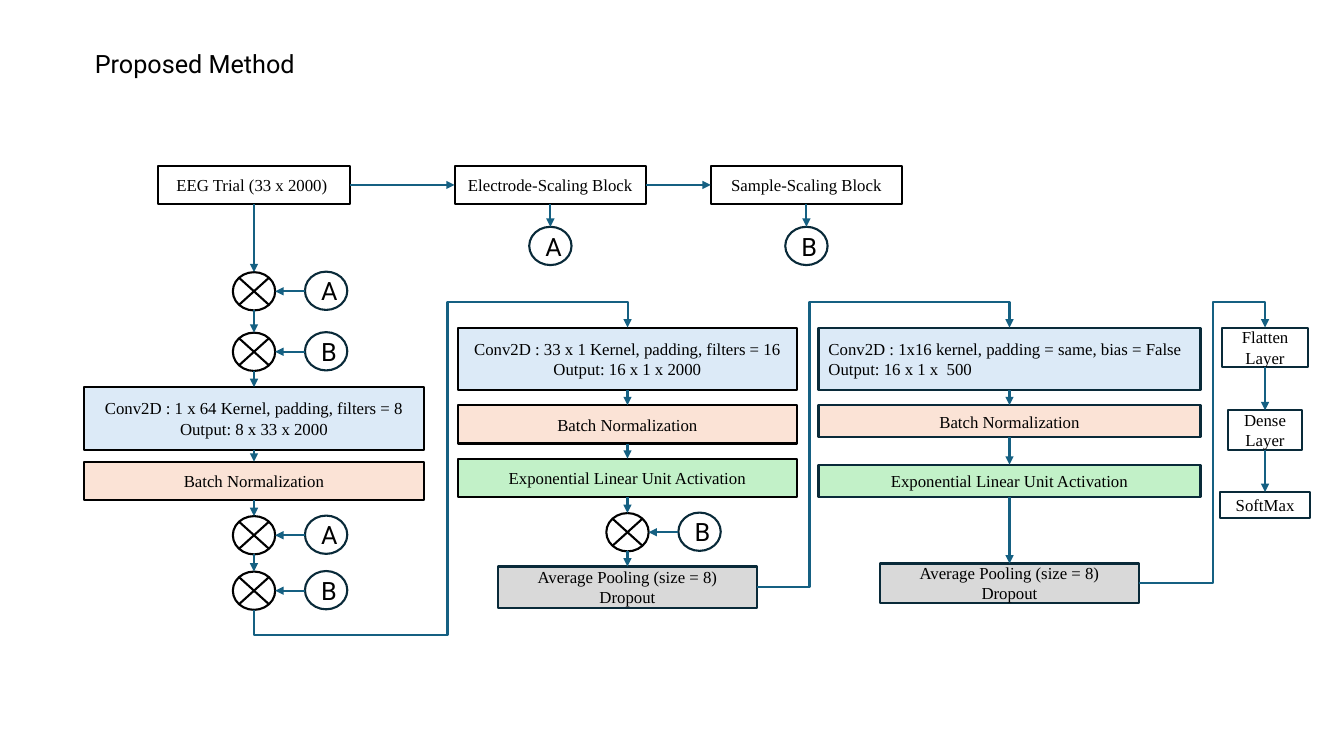
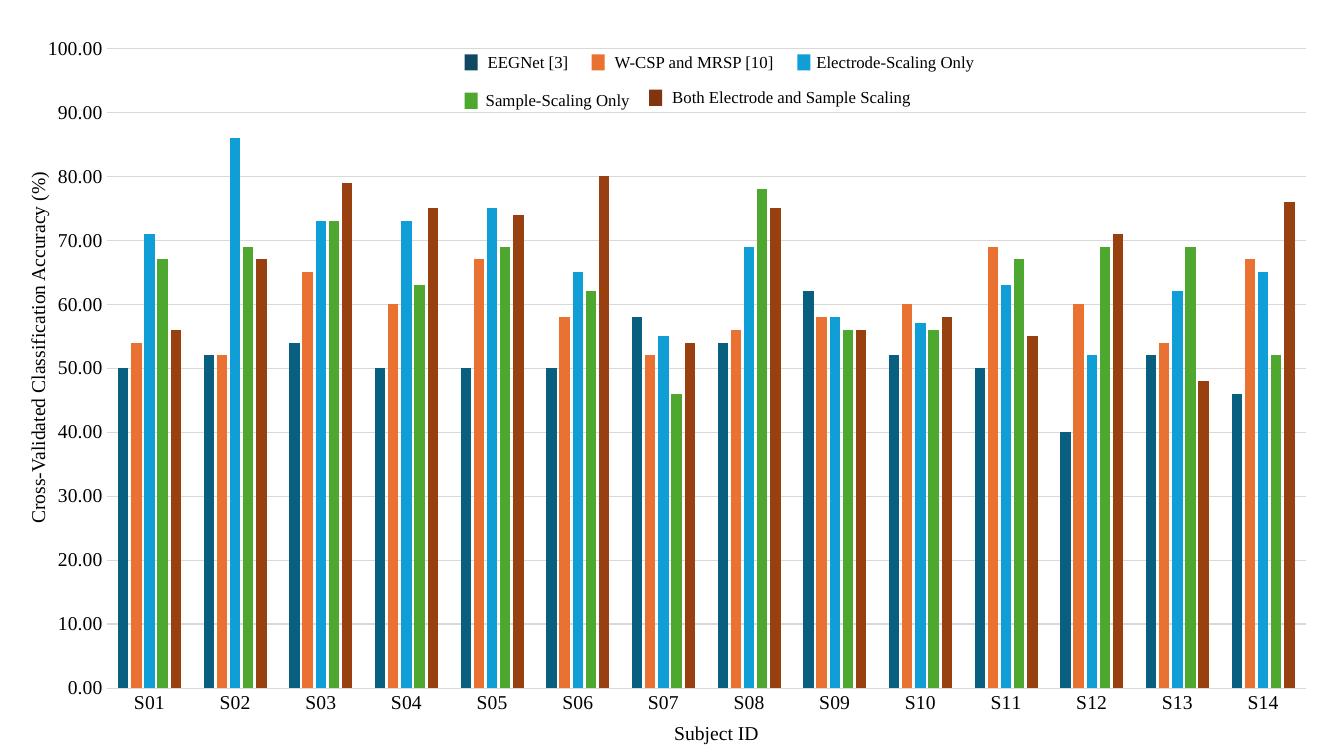
import lxml.etree
import pptx
import pptx.chart.data
import pptx.dml.color
import pptx.enum.chart
import pptx.enum.shapes
import pptx.enum.text
import pptx.oxml
import pptx.oxml.ns
import pptx.util

COLORS = {
    "ink": "000000", "white": "FFFFFF", "outline": "092A39", "arrow": "156082",
    "conv": "DCEAF7", "norm": "FBE3D6", "activation": "C2F1C8", "pool": "D9D9D9",
    "grid": "D9D9D9", "navy": "095F80", "orange": "E97132", "sky": "0F9ED5",
    "green": "4EA72E", "rust": "994010", "navy key": "104862", "rust key": "80350E",
}
SERIF, SANS = "Times New Roman", "Roboto"
CELL = 0.1  # grid cell in inches: the slide is 133.33 columns by 75 rows
COLUMNS, ROWS = 133.33, 75
ROUND_WIDTH, ROUND_HEIGHT = 4.2, 3.8
ROOF, FLOOR = 30, 63  # rows where the long connectors run sideways
SHAPE = pptx.enum.shapes.MSO_SHAPE
ALIGN = pptx.enum.text.PP_ALIGN
NORM, ACTIVATION = "Batch Normalization", "Exponential Linear Unit Activation"
POOLING = "Average Pooling (size = 8)\nDropout"

SUBJECTS = [f"S{number:02}" for number in range(1, 15)]
ACCURACY = {
    "navy": (50, 52, 54, 50, 50, 50, 58, 54, 62, 52, 50, 40, 52, 46),
    "orange": (54, 52, 65, 60, 67, 58, 52, 56, 58, 60, 69, 60, 54, 67),
    "sky": (71, 86, 73, 73, 75, 65, 55, 69, 58, 57, 63, 52, 62, 65),
    "green": (67, 69, 73, 63, 69, 62, 46, 78, 56, 56, 67, 69, 69, 52),
    "rust": (56, 67, 79, 75, 74, 80, 54, 75, 56, 58, 55, 71, 48, 76),
}
# text, swatch colour, swatch left, swatch top, label offset, label width
LEGEND = [
    ("EEGNet [3]", "navy key", 46.1, 5.4, 1.3, 11.2),
    ("W-CSP and MRSP [10]", "orange", 58.7, 5.4, 1.3, 19.1),
    ("Electrode-Scaling Only", "sky", 79.1, 5.4, 0.9, 17.9),
    ("Sample-Scaling Only", "green", 46.1, 9.2, 1.1, 17.2),
    ("Both Electrode and Sample Scaling", "rust key", 64.4, 8.9, 1.3, 28.1),
]


def grid(*cells):
    return [pptx.util.Inches(count * CELL) for count in cells]


def rgb(name):
    return pptx.dml.color.RGBColor.from_string(COLORS[name])


def style_font(font, size, name=SERIF, color="ink"):
    font.size, font.name, font.bold = pptx.util.Pt(size), name, False
    font.color.rgb = rgb(color)


def write(frame, text, size=12, font=SERIF, align=ALIGN.CENTER, anchor="MIDDLE"):
    frame.text = text
    frame.word_wrap = True
    frame.auto_size = pptx.enum.text.MSO_AUTO_SIZE.NONE
    frame.vertical_anchor = getattr(pptx.enum.text.MSO_ANCHOR, anchor)
    for para in frame.paragraphs:
        para.alignment = align
        for span in para.runs:
            style_font(span.font, size, font)


def add_label(page, text, left, top, width, height, **text_format):
    box = page.shapes.add_textbox(*grid(left, top, width, height))
    write(box.text_frame, text, align=ALIGN.LEFT, anchor="TOP", **text_format)
    return box


def add_block(page, kind, center, top, width, height, fill=None, line=None):
    """Add a shape centred on a grid column."""
    box = page.shapes.add_shape(kind, *grid(center - width / 2, top, width, height))
    box.shadow.inherit = False
    if fill:
        box.fill.solid()
        box.fill.fore_color.rgb = rgb(fill)
    else:
        box.fill.background()
    if line:
        box.line.color.rgb = rgb(line)
        box.line.width = pptx.util.Pt(1.5)
    else:
        box.line.fill.background()
    return box


def add_step(page, text, center, top, width, height, fill=None, line="ink", **text_format):
    box = add_block(page, SHAPE.RECTANGLE, center, top, width, height, fill, line)
    write(box.text_frame, text, **text_format)
    return box


def add_letter(page, letter, center, top):
    box = add_block(page, SHAPE.OVAL, center, top, ROUND_WIDTH, ROUND_HEIGHT, line="outline")
    write(box.text_frame, letter, size=18, font=SANS)
    return box


def add_product(page, letter, center, top):
    """Add a multiplication node fed from the right by a lettered circle."""
    node = add_block(page, SHAPE.FLOWCHART_SUMMING_JUNCTION, center, top,
                     ROUND_WIDTH, ROUND_HEIGHT, line="ink")
    source = add_letter(page, letter, center + 7.15, top - 0.05)
    height = middle(node)[1]
    add_arrow(page, (source.left, height), (node.left + node.width, height))
    return node


def middle(box):
    return box.left + box.width // 2, box.top + box.height // 2


def top_of(box):
    return middle(box)[0], box.top


def bottom_of(box):
    return middle(box)[0], box.top + box.height


def right_of(box):
    return box.left + box.width, middle(box)[1]


def add_arrow(page, start, end, elbow=False):
    kinds = pptx.enum.shapes.MSO_CONNECTOR
    arrow = page.shapes.add_connector(kinds.ELBOW if elbow else kinds.STRAIGHT, *start, *end)
    arrow.line.color.rgb = rgb("arrow")
    arrow.line.width = pptx.util.Pt(1.5)
    qn = pptx.oxml.ns.qn
    properties = arrow.line._get_or_add_ln()
    lxml.etree.SubElement(properties, qn("a:tailEnd"), type="triangle")
    lxml.etree.SubElement(properties.getparent(), qn("a:effectLst"))
    return arrow


def bend(arrow, preset, *shares):
    qn = pptx.oxml.ns.qn
    geometry = arrow._element.spPr.find(qn("a:prstGeom"))
    geometry.set("prst", preset)
    guides = geometry.find(qn("a:avLst"))
    if guides is None:
        guides = lxml.etree.SubElement(geometry, qn("a:avLst"))
    for number, share in enumerate(shares, 1):
        lxml.etree.SubElement(guides, qn("a:gd"), name=f"adj{number}",
                              fmla=f"val {round(share * 100000)}")


def route_from_side(page, source, target, lane):
    """Lead right to a lane, up to the roof row and down into the target."""
    (x1, y1), (x2, y2) = start, end = right_of(source), top_of(target)
    lane, roof = grid(lane, ROOF)
    bend(add_arrow(page, start, end, elbow=True), "bentConnector4",
         (lane - x1) / (x2 - x1), (roof - y1) / (y2 - y1))


def route_from_below(page, source, target, lane):
    """Lead down to the floor row, along a lane to the roof and into the target."""
    (x1, y1), (x2, y2) = bottom_of(source), top_of(target)
    lane, roof, floor = grid(lane, ROOF, FLOOR)
    center_x, center_y = (x1 + x2) // 2, (y1 + y2) // 2
    half_width, half_height = (y1 - y2) // 2, (x2 - x1) // 2
    arrow = add_arrow(page, (center_x + half_width, center_y + half_height),
                      (center_x - half_width, center_y - half_height), elbow=True)
    arrow._element.spPr.find(pptx.oxml.ns.qn("a:xfrm")).set("rot", str(90 * 60000))
    rise = y2 - y1
    bend(arrow, "bentConnector5",
         (floor - y1) / rise, (lane - x1) / (x2 - x1), (roof - y1) / rise)


def link_down(page, *boxes):
    for upper, lower in zip(boxes, boxes[1:]):
        x, y = bottom_of(upper)
        add_arrow(page, (x, y), (x, lower.top))


def add_title(page, text):
    title = page.shapes.title
    title.left, title.top, title.width, title.height = grid(8.4, 4.3, 66.7, 4)
    write(title.text_frame, text, size=18, font=SANS, align=ALIGN.LEFT, anchor="TOP")


def build_method(page):
    add_title(page, "Proposed Method")
    first, second, third, last = 25.2, 62.25, 100.15, 125.5

    trial, electrode, sample = [
        add_step(page, text, center, 16.45, 19, 3.8, "white")
        for text, center in (("EEG Trial (33 x 2000) ", first),
                             ("Electrode-Scaling Block", 54.6),
                             ("Sample-Scaling Block", 80))]
    for left, right in ((trial, electrode), (electrode, sample)):
        add_arrow(page, right_of(left), (right.left, middle(right)[1]))
    for block, letter, center in ((electrode, "A", 54.6), (sample, "B", 80)):
        link_down(page, block, add_letter(page, letter, center, 22.5))

    scaling = [
        trial,
        add_product(page, "A", first, 27),
        add_product(page, "B", first, 33),
        add_step(page, "Conv2D : 1 x 64 Kernel, padding, filters = 8\vOutput: 8 x 33 x 2000",
                 first, 38.4, 33.7, 6.2, "conv"),
        add_step(page, NORM, first, 45.8, 33.7, 3.8, "norm"),
        add_product(page, "A", first, 51.2),
        add_product(page, "B", first, 56.7),
    ]
    spatial = [
        add_step(page, "Conv2D : 33 x 1 Kernel, padding, filters = 16\vOutput: 16 x 1 x 2000",
                 second, 32.5, 33.7, 6.2, "conv"),
        add_step(page, NORM, second, 40.2, 33.7, 3.8, "norm"),
        add_step(page, ACTIVATION, second, 45.5, 33.7, 3.8, "activation"),
        add_product(page, "B", second, 50.9),
        add_step(page, POOLING, second, 56.2, 25.7, 4.1, "pool", "outline"),
    ]
    temporal = [
        add_step(page, "Conv2D : 1x16 kernel, padding = same, bias = False \v"
                 "Output: 16 x 1 x  500", third, 32.5, 37.9, 6.2, "conv", "outline",
                 align=ALIGN.LEFT),
        add_step(page, NORM, third, 40.2, 37.9, 3.2, "norm", "outline"),
        add_step(page, ACTIVATION, third, 46.1, 37.9, 3.2, "activation", "outline"),
        add_step(page, POOLING, third, 55.9, 25.7, 3.9, "pool", "outline"),
    ]
    classifier = [
        add_step(page, text, last, top, width, height, line="outline")
        for text, top, width, height in (("Flatten Layer", 32.5, 8.5, 3.9),
                                         ("Dense Layer", 40.7, 7.3, 3.9),
                                         ("SoftMax", 48.8, 8.9, 2.6))]
    for stage in (scaling, spatial, temporal, classifier):
        link_down(page, *stage)
    route_from_below(page, scaling[-1], spatial[0], 44.4)
    route_from_side(page, spatial[-1], temporal[0], 80.3)
    route_from_side(page, temporal[-1], classifier[0], 120.3)


def fix_plot_area(chart, **shares):
    qn = pptx.oxml.ns.qn
    plot_area = chart._chartSpace.chart.plotArea
    layout = plot_area.find(qn("c:layout"))
    if layout is None:
        layout = lxml.etree.Element(qn("c:layout"))
        plot_area.insert(0, layout)
    manual = lxml.etree.SubElement(layout, qn("c:manualLayout"))
    settings = {"layoutTarget": "inner", "xMode": "edge", "yMode": "edge", **shares}
    for name, value in settings.items():
        lxml.etree.SubElement(manual, qn(f"c:{name}"), val=str(value))


def add_accuracy_chart(page):
    data = pptx.chart.data.CategoryChartData(number_format="0.00")
    data.categories = SUBJECTS
    for number, values in enumerate(ACCURACY.values(), 1):
        data.add_series(f"Series {number}", values)
    chart = page.shapes.add_chart(pptx.enum.chart.XL_CHART_TYPE.COLUMN_CLUSTERED,
                                  *grid(4.5, 2.5, 126.7, 69.6), data).chart
    chart.has_legend = chart.has_title = False
    style_font(chart.font, 10, SANS)
    plot = chart.plots[0]
    plot.gap_width, plot.overlap, plot.vary_by_categories = 219, -27, False
    for series, color in zip(plot.series, ACCURACY):
        series.format.fill.solid()
        series.format.fill.fore_color.rgb = rgb(color)
    scale = chart.value_axis
    scale.minimum_scale, scale.maximum_scale, scale.major_unit = 0, 100, 10
    scale.tick_labels.number_format = "0.00"
    scale.tick_labels.number_format_is_linked = False
    scale.format.line.fill.background()
    for axis in (scale, chart.category_axis):
        axis.major_tick_mark = axis.minor_tick_mark = pptx.enum.chart.XL_TICK_MARK.NONE
        style_font(axis.tick_labels.font, 14)
    for line in (scale.major_gridlines.format.line, chart.category_axis.format.line):
        line.color.rgb = rgb("grid")
        line.width = pptx.util.Pt(0.75)
    fix_plot_area(chart, x=0.048, y=0.033, w=0.939, h=0.912)


def build_results(page):
    add_accuracy_chart(page)
    add_label(page, "Subject ID", 65.9, 71, 11, 3.4, size=14)
    axis_title = add_label(page, "Cross-Validated Classification Accuracy (%)",
                           -16, 31.5, 39.5, 3.4, size=14)
    axis_title.rotation = 270
    for text, color, left, top, offset, width in LEGEND:
        add_block(page, SHAPE.RECTANGLE, left + 0.65, top, 1.3, 1.6, color)
        add_label(page, text, left + offset, top - 0.8, width, 3)


def main():
    deck = pptx.Presentation()
    deck.slide_width, deck.slide_height = grid(COLUMNS, ROWS)
    title_only, blank = deck.slide_layouts[5], deck.slide_layouts[6]
    build_method(deck.slides.add_slide(title_only))
    build_results(deck.slides.add_slide(blank))
    deck.save("out.pptx")


if __name__ == "__main__":
    main()
